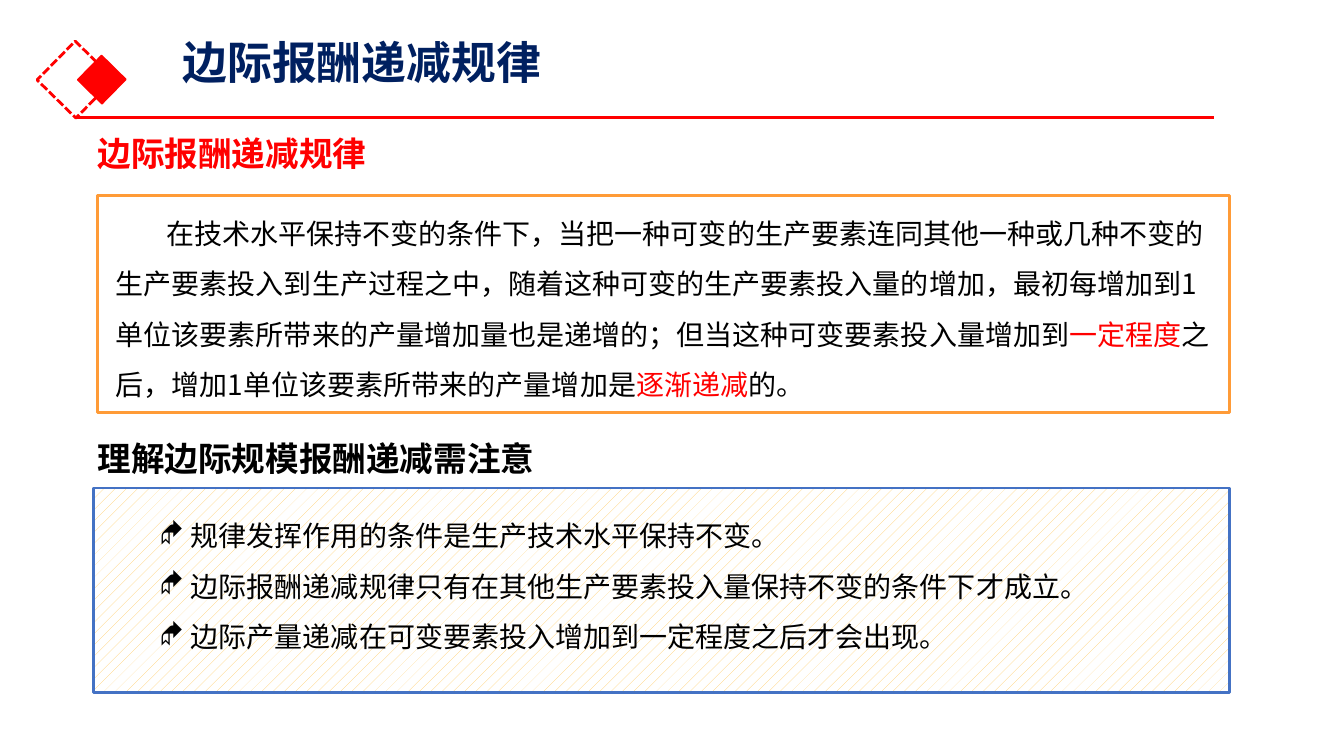
"""Build the slide on the law of diminishing marginal returns."""
import lxml.etree
import pptx
import pptx.dml.color
import pptx.enum.dml
import pptx.enum.lang
import pptx.enum.shapes
import pptx.enum.text
import pptx.oxml.ns
import pptx.util

Pt = pptx.util.Pt
RGB = pptx.dml.color.RGBColor
qn = pptx.oxml.ns.qn
SHAPE = pptx.enum.shapes.MSO_SHAPE
DASH = pptx.enum.dml.MSO_LINE

RED = RGB(0xFF, 0x00, 0x00)
NAVY = RGB(0x00, 0x20, 0x60)
BLACK = RGB(0x00, 0x00, 0x00)
WHITE = RGB(0xFF, 0xFF, 0xFF)
BLUE = RGB(0x44, 0x72, 0xC4)
SAND = RGB(0xFF, 0xCC, 0x66)
AMBER = RGB(0xFF, 0x9B, 0x37)


def write(para, text, *, font, size, color, bold=False):
    run = para.add_run()
    run.text = text
    face = run.font
    face.size, face.bold, face.name = Pt(size), bold, font
    face.color.rgb = color
    face.language_id = pptx.enum.lang.MSO_LANGUAGE_ID.SIMPLIFIED_CHINESE
    lxml.etree.SubElement(run._r.get_or_add_rPr(), qn("a:ea"), typeface=font)


class Deck:
    font = "Noto Sans CJK SC"

    def __init__(self, slide):
        self.slide = slide
        self.shapes = slide.shapes

    def place(self, item, x, y, w, h):
        item.left, item.top, item.width, item.height = map(Pt, (x, y, w, h))
        self.shapes._spTree.append(item._element)

    def fill(self, item, paras, size, color=BLACK, bold=False,
             space=1.0, left=0, first=0, mark=None):
        frame = item.text_frame
        frame.word_wrap = True
        frame.auto_size = pptx.enum.text.MSO_AUTO_SIZE.NONE
        frame.vertical_anchor = pptx.enum.text.MSO_ANCHOR.TOP
        for i, runs in enumerate(paras):
            para = frame.add_paragraph() if i else frame.paragraphs[0]
            para.alignment = pptx.enum.text.PP_ALIGN.LEFT
            para.line_spacing = space
            para.space_before = Pt(0)
            props = para._p.get_or_add_pPr()
            props.set("marL", str(Pt(left)))
            props.set("indent", str(Pt(first)))
            if mark:
                lxml.etree.SubElement(props, qn("a:buFont"), typeface="Wingdings")
                lxml.etree.SubElement(props, qn("a:buChar"), char=mark)
            for text, tint in runs:
                write(para, text, font=self.font, size=size,
                      color=tint or color, bold=bold)

    def title(self, text, *box):
        item = self.shapes.title
        self.place(item, *box)
        item.text_frame.margin_top = 0
        self.fill(item, [[(text, None)]], 32, NAVY, True, 0.9)

    def list(self, lines, *box):
        item = self.slide.placeholders[1]
        self.place(item, *box)
        self.fill(item, [[(line, None)] for line in lines], 20,
                  space=1.5, left=22.5, first=-22.5, mark="◆")

    def text(self, paras, *box, **style):
        item = self.shapes.add_textbox(*map(Pt, box))
        self.fill(item, paras, **style)

    def head(self, text, y, w, color):
        self.text([[(text, None)]], 62.64, y, w, 36,
                  size=24, color=color, bold=True)

    def rect(self, *box, line, width, fill=None, turn=0, dash=None):
        item = self.shapes.add_shape(SHAPE.RECTANGLE, *map(Pt, box))
        item.shadow.inherit = False
        item.rotation = turn
        item.line.color.rgb = line
        item.line.width = Pt(width)
        if dash:
            item.line.dash_style = dash
        if fill:
            item.fill.solid()
            item.fill.fore_color.rgb = fill
        else:
            item.fill.background()
        return item

    def hatch(self, *box, **style):
        paint = self.rect(*box, **style).fill
        paint.patterned()
        paint.pattern = pptx.enum.dml.MSO_PATTERN.PERCENT_10
        paint.fore_color.rgb = SAND
        paint.back_color.rgb = WHITE

    def rule(self, x, y, end):
        line = self.shapes.add_connector(
            pptx.enum.shapes.MSO_CONNECTOR.STRAIGHT, Pt(x), Pt(y), Pt(end), Pt(y))
        line.line.color.rgb = RED
        line.line.width = Pt(2.25)
        lxml.etree.SubElement(line._element.spPr, qn("a:effectLst"))


def main():
    show = pptx.Presentation()
    show.slide_width, show.slide_height = Pt(960), Pt(540)
    deck = Deck(show.slides.add_slide(show.slide_layouts[1]))

    deck.hatch(66.96, 348.48, 811.44, 146.16, line=BLUE, width=1.75)
    deck.rect(34.56, 37.44, 38.88, 38.88, line=RED, width=2,
              turn=314.5, dash=DASH.SQUARE_DOT)
    deck.rect(60.48, 44.64, 24.48, 24.48, line=RED, width=1,
              turn=314.5, fill=RED)
    deck.rule(54, 84.24, 866.88)
    deck.title("边际报酬递减规律", 123.12, 28.8, 828, 68.4)
    deck.head("边际报酬递减规律", 91.44, 213.12, RED)
    deck.text([[
        ("在技术水平保持不变的条件下，当把一种可变的生产要素连同其他一种或几种"
         "不变的生产要素投入到生产过程之中，随着这种可变的生产要素投入量的增加，"
         "最初每增加到1单位该要素所带来的产量增加量也是递增的；但当这种可变要素"
         "投入量增加到", None),
        ("一定程度", RED),
        ("之后，增加1单位该要素所带来的产量增加是", None),
        ("逐渐递减", RED),
        ("的。", None),
    ]], 75.6, 138.96, 796.32, 152.64, size=20, space=1.5, first=36)
    deck.head("理解边际规模报酬递减需注意", 309.6, 334.08, BLACK)
    deck.list([
        "规律发挥作用的条件是生产技术水平保持不变。",
        "边际报酬递减规律只有在其他生产要素投入量保持不变的条件下才成立。",
        "边际产量递减在可变要素投入增加到一定程度之后才会出现。",
    ], 106.56, 354.96, 678.96, 116.64)
    deck.rect(69.84, 139.68, 808.56, 154.8, line=AMBER, width=2.25)

    show.save("out.pptx")


if __name__ == "__main__":
    main()
